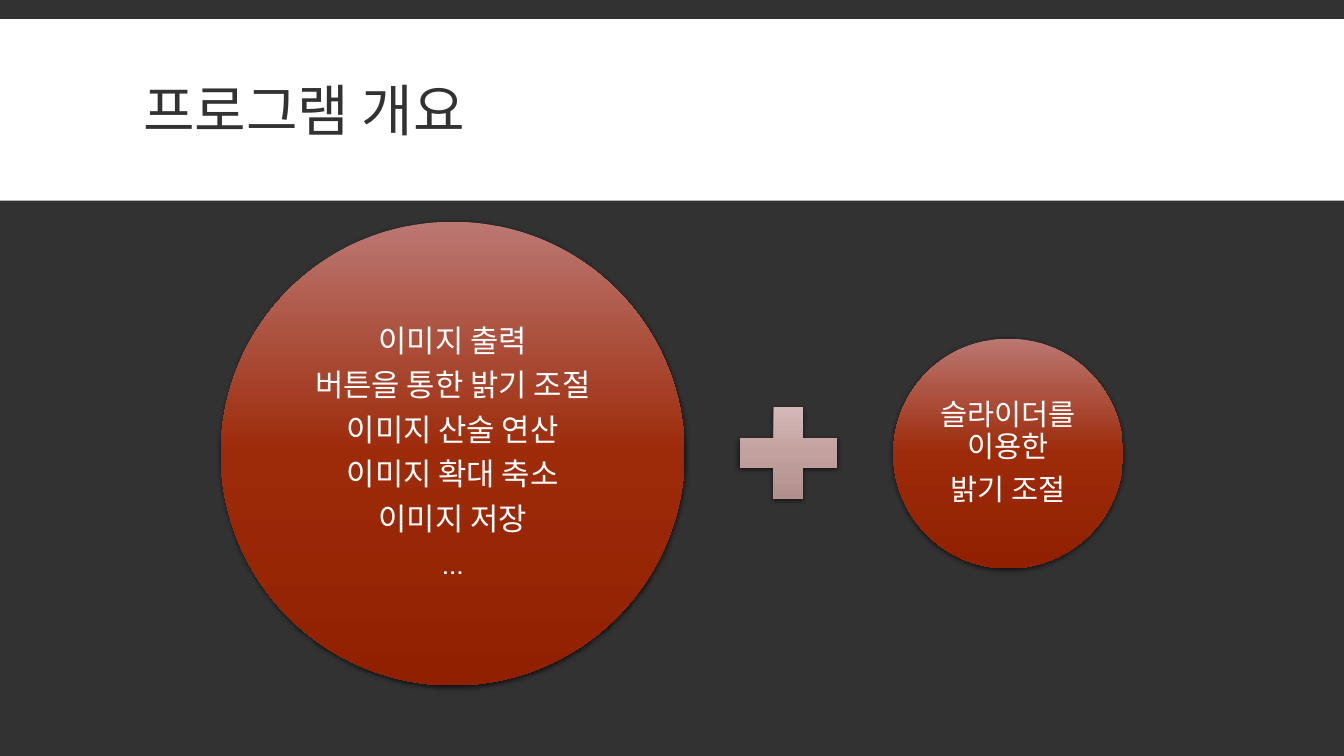
import dataclasses

import lxml.etree
import pptx
import pptx.dml.color
import pptx.enum.shapes
import pptx.enum.text
import pptx.oxml.ns
import pptx.util

Inches = pptx.util.Inches
Pt = pptx.util.Pt
SHAPE = pptx.enum.shapes.MSO_SHAPE
ALIGN = pptx.enum.text.PP_ALIGN
qn = pptx.oxml.ns.qn


@dataclasses.dataclass(frozen=True)
class Theme:
    font: str = "Cabin"
    dark: str = "323232"
    white: str = "FFFFFF"
    shadow: str = "000000"
    red_stops: tuple = ("BB7772", "9D2B0A", "902000")
    plus_stops: tuple = ("DBC1C0", "C2A19F", "A98886")
    title_size: int = 40
    large_size: int = 22
    small_size: int = 21


THEME = Theme()


def rgb(color):
    return pptx.dml.color.RGBColor.from_string(color)


def add_child(parent, tag, **attributes):
    child = lxml.etree.SubElement(parent, qn(tag))
    for name, value in attributes.items():
        child.set(name, str(value))
    return child


def fill_gradient(shape, colors):
    """Fill from top to bottom with evenly spaced stops."""
    shape.fill.gradient()
    gradient = shape.element.spPr.find(qn("a:gradFill"))
    for child in list(gradient):
        gradient.remove(child)
    stops = add_child(gradient, "a:gsLst")
    for index, color in enumerate(colors):
        position = 100000 * index // (len(colors) - 1)
        stop = add_child(stops, "a:gs", pos=position)
        add_child(stop, "a:srgbClr", val=color)
    add_child(gradient, "a:lin", ang=90 * 60000, scaled=0)


def add_shadow(shape):
    shape.shadow.inherit = False
    effects = shape.element.spPr.find(qn("a:effectLst"))
    shadow = add_child(effects, "a:outerShdw", blurRad=Pt(4), dist=Pt(1.2),
                       dir=90 * 60000, algn="ctr", rotWithShape=0)
    color = add_child(shadow, "a:srgbClr", val=THEME.shadow)
    add_child(color, "a:alpha", val=68000)


def write_lines(frame, lines, size, color, align, line_spacing, space_after=0):
    frame.word_wrap = True
    frame.auto_size = pptx.enum.text.MSO_AUTO_SIZE.NONE
    frame.vertical_anchor = pptx.enum.text.MSO_ANCHOR.MIDDLE
    for index, line in enumerate(lines):
        paragraph = frame.add_paragraph() if index else frame.paragraphs[0]
        paragraph.alignment = align
        paragraph.line_spacing = line_spacing
        paragraph.space_before = Pt(0)
        paragraph.space_after = Pt(space_after)
        run = paragraph.add_run()
        run.text = line
        run.font.name = THEME.font
        run.font.size = Pt(size)
        run.font.color.rgb = rgb(color)


def add_title_band(slide, width, text):
    title = slide.shapes.title
    title.left, title.top = Inches(1.32), Inches(0.31)
    title.width, title.height = Inches(10.7), Inches(1.65)
    write_lines(title.text_frame, [text], THEME.title_size, THEME.dark,
                ALIGN.LEFT, 0.85)

    band = slide.shapes.add_shape(SHAPE.RECTANGLE, 0, Inches(0.19),
                                  width, Inches(1.8))
    band.shadow.inherit = False
    band.fill.solid()
    band.fill.fore_color.rgb = rgb(THEME.white)
    band.line.fill.background()
    # The band lies behind the title
    title.element.addprevious(band.element)


def add_gradient_shape(slide, kind, left, top, width, height, colors):
    shape = slide.shapes.add_shape(kind, Inches(left), Inches(top),
                                   Inches(width), Inches(height))
    fill_gradient(shape, colors)
    shape.line.fill.background()
    add_shadow(shape)
    return shape


def add_circle(slide, left, top, diameter, lines, size):
    circle = add_gradient_shape(slide, SHAPE.OVAL, left, top, diameter,
                                diameter, THEME.red_stops)
    frame = circle.text_frame
    frame.margin_left = frame.margin_right = Inches(0.03)
    frame.margin_top = frame.margin_bottom = Inches(0.03)
    write_lines(frame, lines, size, THEME.white, ALIGN.CENTER, 0.9, 8)


def main():
    presentation = pptx.Presentation()
    presentation.slide_width = Inches(13.33)
    presentation.slide_height = Inches(7.5)
    slide = presentation.slides.add_slide(presentation.slide_layouts[5])
    slide.background.fill.solid()
    slide.background.fill.fore_color.rgb = rgb(THEME.dark)

    # Heading
    add_title_band(slide, presentation.slide_width, "프로그램 개요")

    # Existing features plus the slider
    add_circle(slide, 2.19, 2.2, 4.6, [
        "이미지 출력",
        "버튼을 통한 밝기 조절",
        "이미지 산술 연산",
        "이미지 확대 축소",
        "이미지 저장",
        "…",
    ], THEME.large_size)
    add_gradient_shape(slide, SHAPE.MATH_PLUS, 7.16, 3.88, 1.32, 1.23,
                       THEME.plus_stops)
    add_circle(slide, 8.86, 3.36, 2.28, ["슬라이더를 이용한", "밝기 조절"],
               THEME.small_size)

    presentation.save("out.pptx")


if __name__ == "__main__":
    main()
